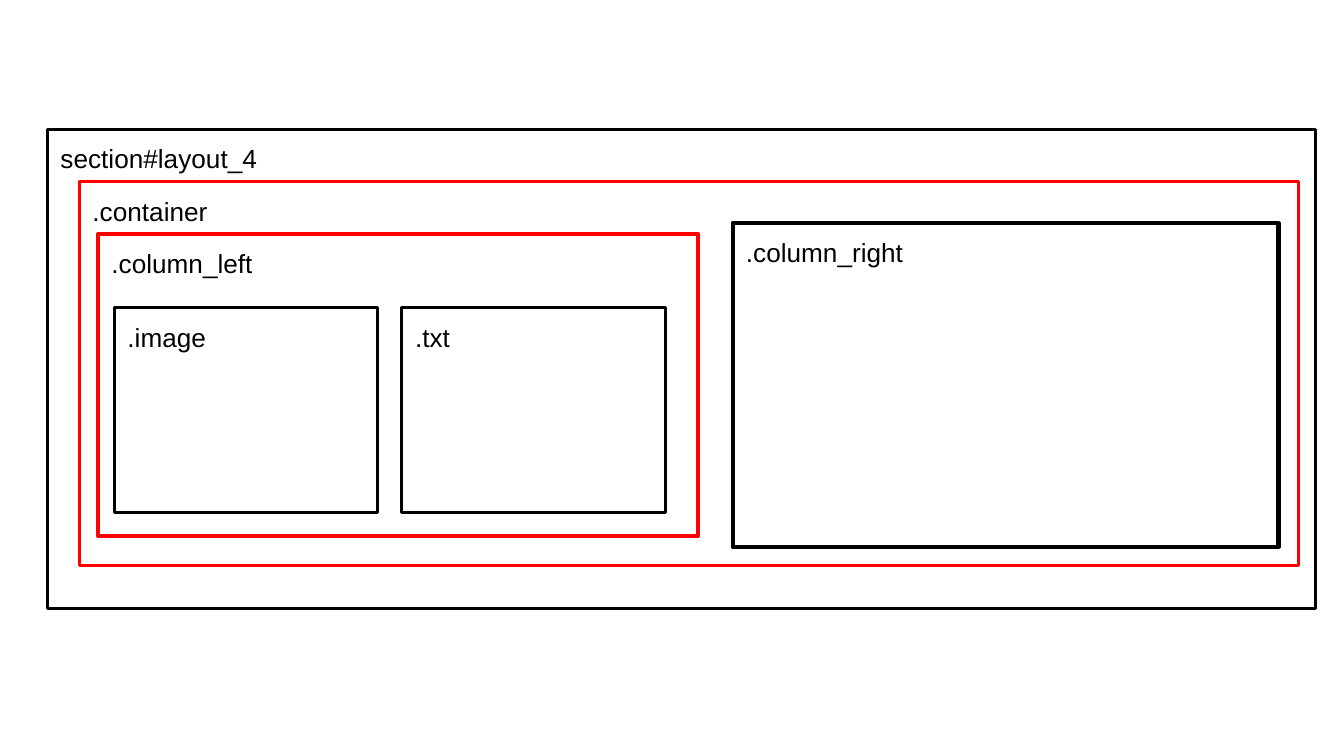
from pptx import Presentation
from pptx.dml.color import RGBColor
from pptx.enum.shapes import MSO_SHAPE
from pptx.enum.text import MSO_ANCHOR, PP_ALIGN
from pptx.util import Pt

RECT = MSO_SHAPE.RECTANGLE
TOP = MSO_ANCHOR.TOP
LEFT = PP_ALIGN.LEFT
BLACK = RGBColor(0, 0, 0)
RED = RGBColor(255, 0, 0)
THIN, THICK = 1.5, 2.25

INSET = Pt(7.2)
FRAME = {
    "margin_left": INSET,
    "margin_right": INSET,
    "margin_top": INSET,
    "margin_bottom": INSET,
    "vertical_anchor": TOP,
    "word_wrap": True,
}
FONT = {"name": "Arial", "size": Pt(14)}

CELL_LEFT, CELL_STEP = 61.2, 154.1
CELLS = (".image", ".txt")


def apply(target, values):
    for name, value in values.items():
        setattr(target, name, value)


def add_box(slide, label, area, color, weight):
    """Draw an unfilled box, area being left, top, width and height in points."""
    box = slide.shapes.add_shape(RECT, *map(Pt, area))
    box.shadow.inherit = False
    box.fill.background()
    box.line.color.rgb = color
    box.line.width = Pt(weight)
    frame = box.text_frame
    apply(frame, FRAME)
    line = frame.paragraphs[0]
    line.alignment = LEFT
    run = line.add_run()
    run.text = label
    apply(run.font, FONT)
    run.font.color.rgb = BLACK


def add_cells(slide):
    for col, label in enumerate(CELLS):
        left = CELL_LEFT + col * CELL_STEP
        add_box(slide, label, (left, 164.9, 141.2, 109.5), BLACK, THIN)


def main():
    deck = Presentation()
    deck.slide_width, deck.slide_height = Pt(720), Pt(405)
    slide = deck.slides.add_slide(deck.slide_layouts[6])
    add_box(slide, ".container", (42.5, 97.2, 653, 206), RED, THIN)
    add_box(slide, ".column_left", (52.6, 125.2, 321.2, 162), RED, THICK)
    add_cells(slide)
    add_box(slide, ".column_right", (392.5, 119.5, 292.4, 173.5), BLACK, THICK)
    add_box(slide, "section#layout_4", (25.3, 69.2, 679.6, 257), BLACK, THIN)
    deck.save("out.pptx")


if __name__ == "__main__":
    main()
